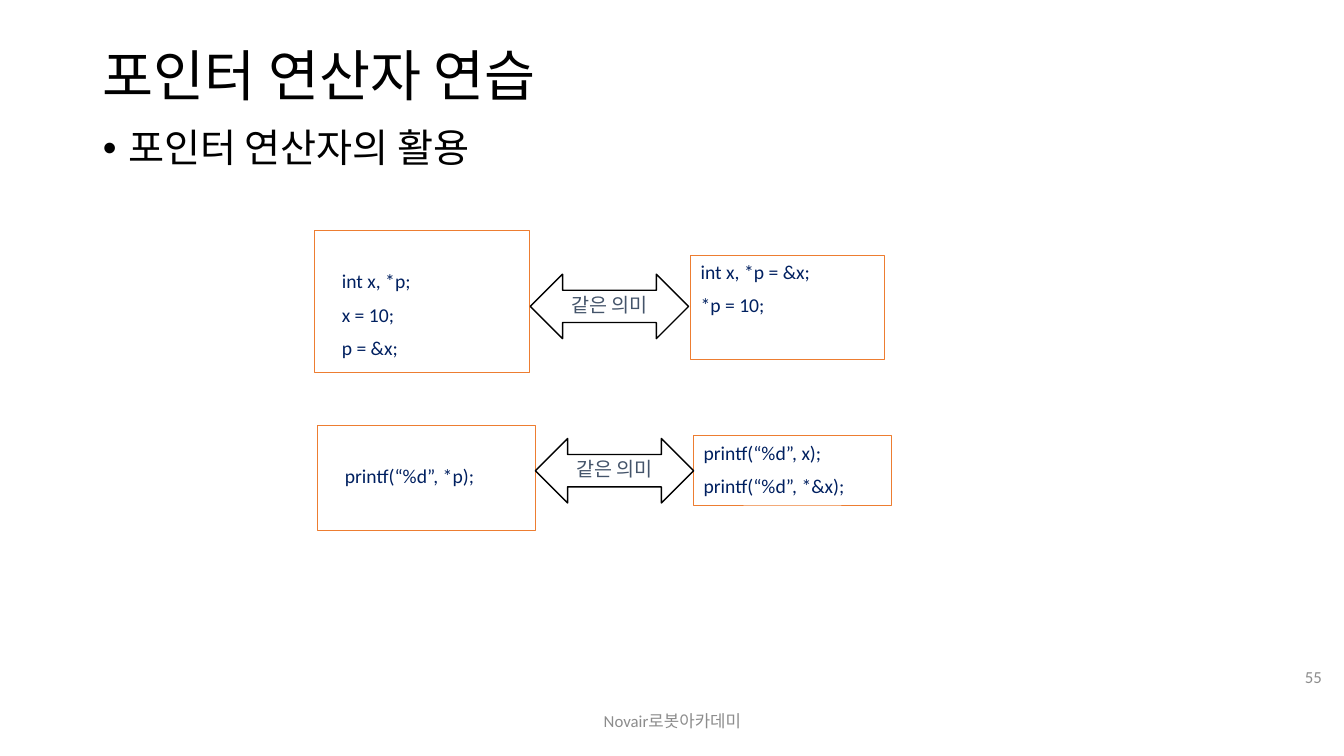
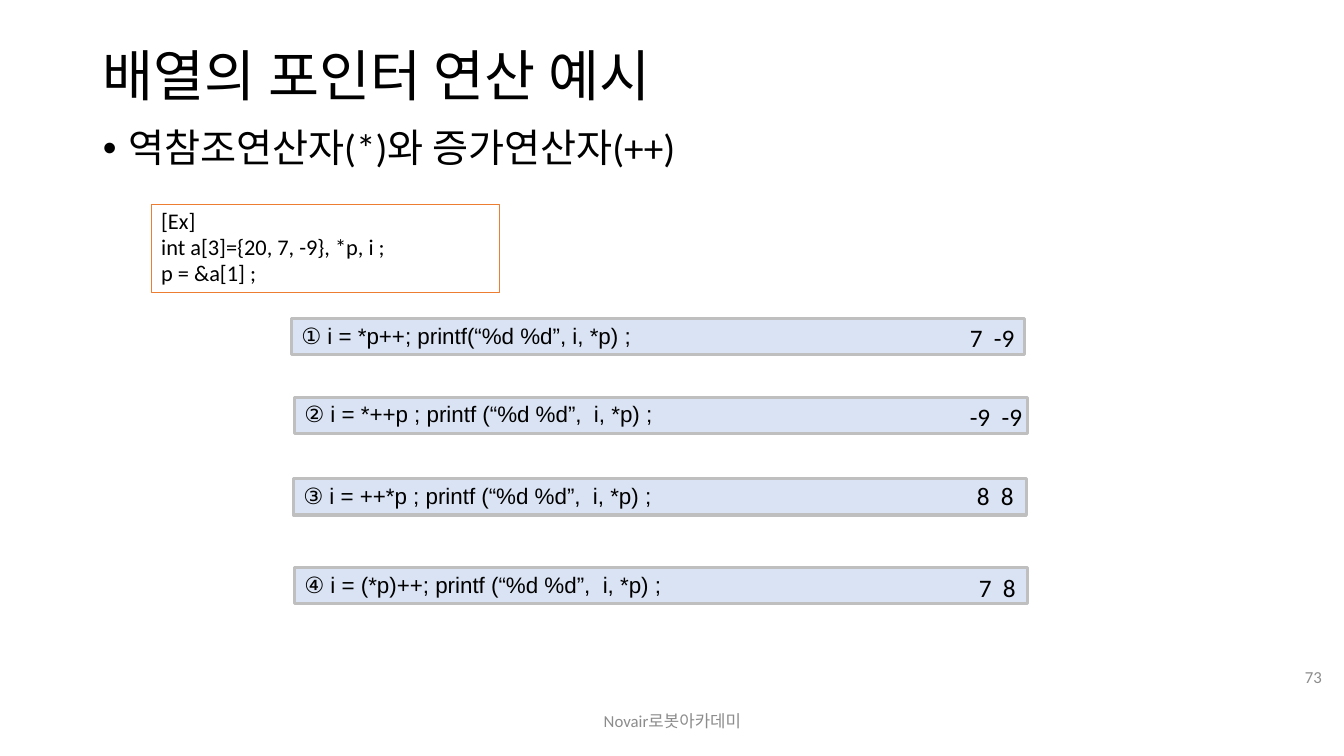
from pptx import Presentation
from pptx.dml.color import RGBColor
from pptx.enum.shapes import MSO_SHAPE
from pptx.enum.text import MSO_ANCHOR, MSO_AUTO_SIZE, PP_ALIGN
from pptx.util import Inches, Pt

BLACK, NAVY, SLATE, GRAY = "000000", "002060", "44546A", "8C8C8C"
ORANGE, SILVER, PALE_BLUE = "ED7D31", "BFBFBF", "DAE3F3"
FOOTER = "Novair로봇아카데미"


def rgb(value):
    """Turn a hex string into a colour."""
    return RGBColor.from_string(value)


def box(left, top, width, height):
    """Convert a position and size in inches to lengths."""
    return [Inches(v) for v in (left, top, width, height)]


class Deck:
    """Holds the shared style and the current slide."""

    def __init__(self):
        """Start an empty widescreen presentation."""
        self.prs = Presentation()
        self.prs.slide_width = Inches(13.33)
        self.prs.slide_height = Inches(7.5)
        self.s = None

    def set_text(self, sp, lines, size, color=BLACK, font="Calibri",
                 align=PP_ALIGN.LEFT, anchor=MSO_ANCHOR.TOP, wrap=True,
                 line=None, before=0, after=0):
        """Fill a shape with equally formatted paragraphs."""
        tf = sp.text_frame
        tf.text = "\n".join(lines)
        tf.word_wrap = wrap
        tf.auto_size = MSO_AUTO_SIZE.NONE
        tf.vertical_anchor = anchor
        for p in tf.paragraphs:
            p.alignment = align
            p.line_spacing = line
            p.space_before, p.space_after = Pt(before), Pt(after)
            p.font.size, p.font.name = Pt(size), font
            p.font.color.rgb = rgb(color)
        return tf

    def placeholder(self, index, at, text, size, **style):
        """Move a template placeholder and fill it."""
        sp = self.s.placeholders[index]
        sp.left, sp.top, sp.width, sp.height = box(*at)
        return self.set_text(sp, [text], size, line=0.9, **style)

    def slide(self, title, topic, number):
        """Add a slide with title, bulleted topic, footer and number."""
        self.s = self.prs.slides.add_slide(self.prs.slide_layouts[1])
        self.placeholder(0, (0.92, 0.4, 11.5, 0.75), title, 39.6,
                         anchor=MSO_ANCHOR.MIDDLE)
        tf = self.placeholder(1, (0.92, 1.23, 11.5, 5.53), topic, 28, before=10)
        pPr = tf.paragraphs[0]._p.get_or_add_pPr()
        pPr.set("marL", str(Inches(0.25)))
        pPr.set("indent", str(Inches(-0.25)))
        self.label((4.42, 6.95, 4.5, 0.4), FOOTER, 12, color=GRAY,
                   align=PP_ALIGN.CENTER, anchor=MSO_ANCHOR.MIDDLE)
        self.label((12.59, 6.51, 0.62, 0.4), str(number), 12, color=GRAY,
                   align=PP_ALIGN.RIGHT, anchor=MSO_ANCHOR.MIDDLE)

    def label(self, at, text, size, **style):
        """Add a plain text box."""
        sp = self.s.shapes.add_textbox(*box(*at))
        self.set_text(sp, [text], size, **style)

    def shape(self, kind, at, line, width, fill=None):
        """Add a flat outlined shape, unfilled by default."""
        sp = self.s.shapes.add_shape(kind, *box(*at))
        sp.shadow.inherit = False
        sp.line.color.rgb, sp.line.width = rgb(line), Pt(width)
        if fill:
            sp.fill.solid()
            sp.fill.fore_color.rgb = rgb(fill)
        else:
            sp.fill.background()
        return sp

    def code(self, at, lines, size=14, color=NAVY, inset=(0.1, 0.05), **style):
        """Add an orange-framed code box."""
        sp = self.shape(MSO_SHAPE.RECTANGLE, at, ORANGE, 0.5)
        tf = self.set_text(sp, lines, size, color, **style)
        tf.margin_left, tf.margin_top = [Inches(v) for v in inset]

    def same_meaning(self, left, top):
        """Add the double arrow between two equivalent code boxes."""
        sp = self.shape(MSO_SHAPE.LEFT_RIGHT_ARROW, (left, top, 1.57, 0.64),
                        BLACK, 1)
        self.set_text(sp, ["같은 의미"], 14, SLATE, "Arial", PP_ALIGN.CENTER,
                      MSO_ANCHOR.MIDDLE, wrap=False, line=0.8)

    def statement(self, left, top, text):
        """Add a blue bar with one statement."""
        sp = self.shape(MSO_SHAPE.RECTANGLE, (left, top, 7.27, 0.36),
                        SILVER, 2.25, PALE_BLUE)
        self.set_text(sp, [text], 16, font="Arial", anchor=MSO_ANCHOR.MIDDLE,
                      line=0.95, before=6, after=6)


deck = Deck()

deck.slide("포인터 연산자 연습", "포인터 연산자의 활용", 55)
INDENTED = (0.27, 0.38)
deck.code((3.12, 2.29, 2.13, 1.4), ["int x, *p;", "x = 10;", "p = &x;"],
          inset=INDENTED, before=7)
deck.code((6.85, 2.53, 1.92, 1.04), ["int x, *p = &x;", "*p = 10;"], before=7)
deck.code((3.15, 4.22, 2.16, 1.04), ["printf(“%d”, *p);"],
          inset=INDENTED, before=7)
deck.code((6.88, 4.32, 1.96, 0.69), ["printf(“%d”, x);", "printf(“%d”, *&x);"],
          before=7)
deck.same_meaning(5.26, 2.72)
deck.same_meaning(5.31, 4.35)

deck.slide("배열의 포인터 연산 예시", "역참조연산자(*)와 증가연산자(++)", 73)
deck.code((1.5, 2.03, 3.45, 0.87),
          ["[Ex]", "int a[3]={20, 7, -9}, *p, i ;", "p = &a[1] ;"],
          size=16, color=BLACK, line=0.95)
STATEMENTS = [
    (2.89, 3.16, "① i = *p++; printf(“%d %d”, i, *p) ;", 9.52, 3.15, "7  -9"),
    (2.92, 3.94, "② i = *++p ; printf (“%d %d”,  i, *p) ;", 9.52, 3.93, "-9  -9"),
    (2.91, 4.75, "③ i = ++*p ; printf (“%d %d”,  i, *p) ;", 9.59, 4.72, "8  8"),
    (2.92, 5.63, "④ i = (*p)++; printf (“%d %d”,  i, *p) ;", 9.61, 5.63, "7  8"),
]
for left, top, text, out_left, out_top, output in STATEMENTS:
    deck.statement(left, top, text)
    deck.label((out_left, out_top, 0.73, 0.4), output, 18)

deck.prs.save("out.pptx")
